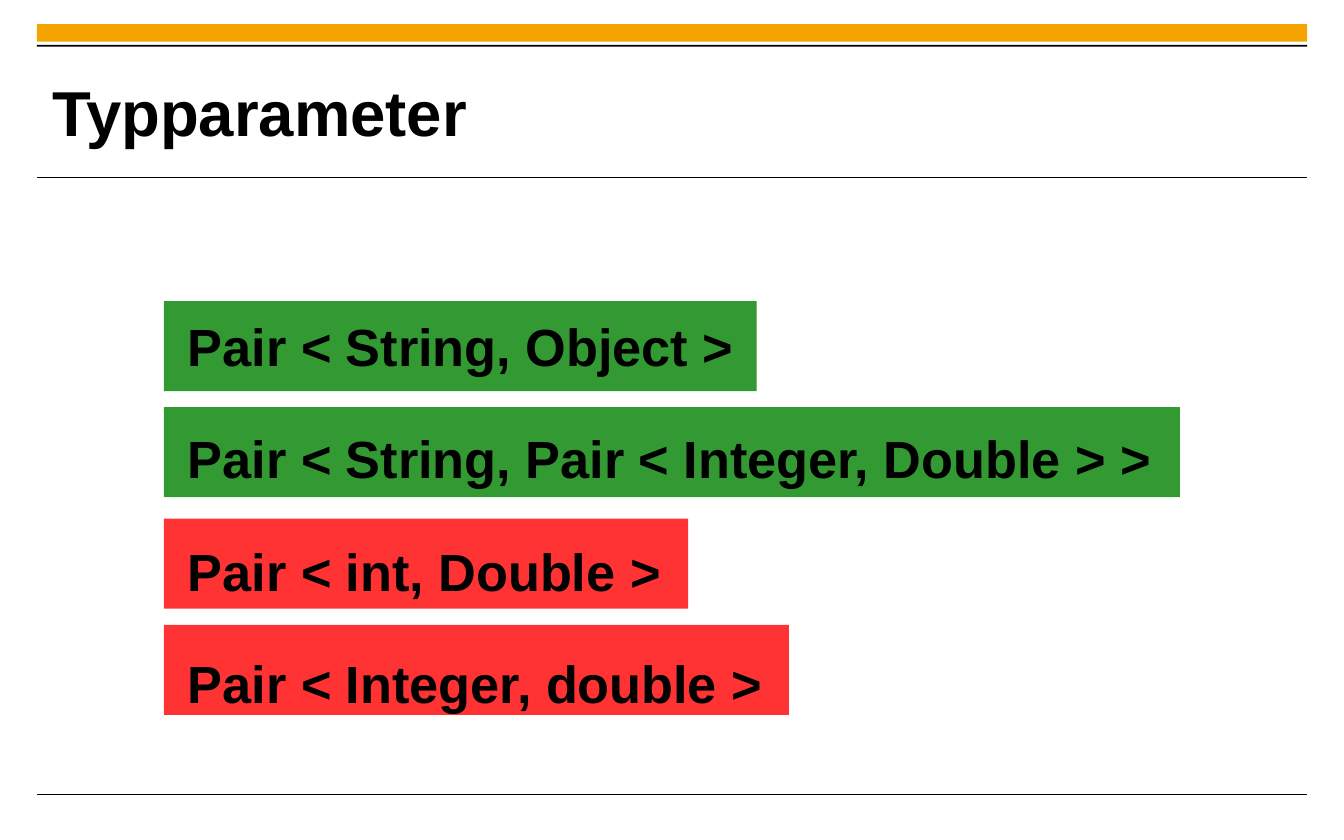
"""Build a slide contrasting valid and invalid Java type parameters."""
from dataclasses import dataclass

from lxml.etree import SubElement
from pptx import Presentation
from pptx.dml.color import RGBColor as Rgb
from pptx.enum.shapes import MSO_CONNECTOR as Connector, MSO_SHAPE as Shape
from pptx.enum.text import MSO_ANCHOR as Anchor, PP_ALIGN as Align
from pptx.oxml.ns import qn
from pptx.slide import Slide
from pptx.text.text import TextFrame
from pptx.util import Inches, Pt

SLIDE_WIDTH, SLIDE_HEIGHT = Inches(10), Inches(6.25)


@dataclass(frozen=True)
class Theme:
    """Colours, font and type sizes."""
    ink: Rgb = Rgb(0, 0, 0)
    accent: Rgb = Rgb(0xF5, 0xA3, 0x00)
    valid: Rgb = Rgb(0x00, 0x80, 0x00)
    invalid: Rgb = Rgb(0xFF, 0x00, 0x00)
    font: str = "Arial"
    title_size: float = 34
    example_size: float = 28
    example_gap: float = 26.5
    rule_width: float = 0.6


@dataclass(frozen=True)
class Area:
    """A rectangle in percent of the slide's width and height."""
    left: float
    top: float
    width: float
    height: float

    def box(self) -> tuple[int, int, int, int]:
        """Return left, top, width and height as slide lengths."""
        return (across(self.left), down(self.top),
                across(self.width), down(self.height))


@dataclass(frozen=True)
class Example:
    """A parameterised type and the width of its band."""
    code: str
    width: float


@dataclass(frozen=True)
class Verdict:
    """Examples that share a colour, stacked from a common top."""
    color: Rgb
    top: float
    examples: tuple[Example, ...]


THEME = Theme()
BAND_LEFT, BAND_HEIGHT, BAND_STEP = 12.2, 10.72, 12.64
BAND_OPACITY = 80
RULE_LENGTH = 94.5
VERDICTS = (
    Verdict(THEME.valid, 35.84, (
        Example("Pair < String, Object >", 44.1),
        Example("Pair < String, Pair < Integer, Double > >", 75.6))),
    Verdict(THEME.invalid, 61.76, (
        Example("Pair < int, Double >", 39),
        Example("Pair < Integer, double >", 46.5))),
)


def across(percent: float) -> int:
    """Convert a share of the slide's width."""
    return round(SLIDE_WIDTH * percent / 100)


def down(percent: float) -> int:
    """Convert a share of the slide's height."""
    return round(SLIDE_HEIGHT * percent / 100)


def add_band(slide: Slide, area: Area, color: Rgb, opacity: int = 100) -> None:
    """Draw a borderless filled rectangle."""
    band = slide.shapes.add_shape(Shape.RECTANGLE, *area.box())
    band.shadow.inherit = False
    band.line.fill.background()
    band.fill.solid()
    band.fill.fore_color.rgb = color
    if opacity < 100:
        tint = band._element.spPr.find(f"{qn('a:solidFill')}/{qn('a:srgbClr')}")
        SubElement(tint, qn("a:alpha"), val=str(opacity * 1000))


def add_rule(slide: Slide, left: float, top: float) -> None:
    """Draw a thin line across the slide."""
    rule = slide.shapes.add_connector(
        Connector.STRAIGHT, across(left), down(top),
        across(left + RULE_LENGTH), down(top))
    rule.line.color.rgb = THEME.ink
    rule.line.width = Pt(THEME.rule_width)
    SubElement(rule._element.spPr, qn("a:effectLst"))


def write_lines(frame: TextFrame, lines: list[str], size: float, gap: float = 0) -> None:
    """Write bold paragraphs with a gap between them."""
    for index, line in enumerate(lines):
        paragraph = frame.paragraphs[0] if index == 0 else frame.add_paragraph()
        paragraph.alignment = Align.LEFT
        paragraph.space_before = Pt(gap if index else 0)
        run = paragraph.add_run()
        run.text = line
        run.font.name, run.font.size, run.font.bold = THEME.font, Pt(size), True
        run.font.color.rgb = THEME.ink


def set_title(slide: Slide, title: str) -> None:
    """Place and format the title placeholder."""
    heading = slide.shapes.title
    heading.left, heading.top, heading.width, heading.height = Area(3.9, 7.2, 75.2, 12.16).box()
    frame = heading.text_frame
    frame.vertical_anchor = Anchor.MIDDLE
    frame.margin_left = frame.margin_right = frame.margin_top = frame.margin_bottom = 0
    write_lines(frame, [title], THEME.title_size)


def add_examples(slide: Slide) -> None:
    """Draw the coloured bands and the types written over them."""
    for verdict in VERDICTS:
        for row, example in enumerate(verdict.examples):
            area = Area(BAND_LEFT, verdict.top + row * BAND_STEP, example.width, BAND_HEIGHT)
            add_band(slide, area, verdict.color, BAND_OPACITY)
    frame = slide.shapes.add_textbox(*Area(13, 36.64, 84.3, 56.48).box()).text_frame
    frame.word_wrap = True
    codes = [example.code for verdict in VERDICTS for example in verdict.examples]
    write_lines(frame, codes, THEME.example_size, THEME.example_gap)


def main() -> None:
    """Build and save the slide."""
    deck = Presentation()
    deck.slide_width, deck.slide_height = SLIDE_WIDTH, SLIDE_HEIGHT
    slide = deck.slides.add_slide(deck.slide_layouts.get_by_name("Title Only"))
    add_band(slide, Area(2.75, 2.88, RULE_LENGTH, 2.08), THEME.accent)
    add_band(slide, Area(2.75, 5.36, RULE_LENGTH, 0.2), THEME.ink)
    add_rule(slide, 2.75, 21.12)
    add_rule(slide, 2.75, 94.56)
    set_title(slide, "Typparameter")
    add_examples(slide)
    deck.save("out.pptx")


if __name__ == "__main__":
    main()
